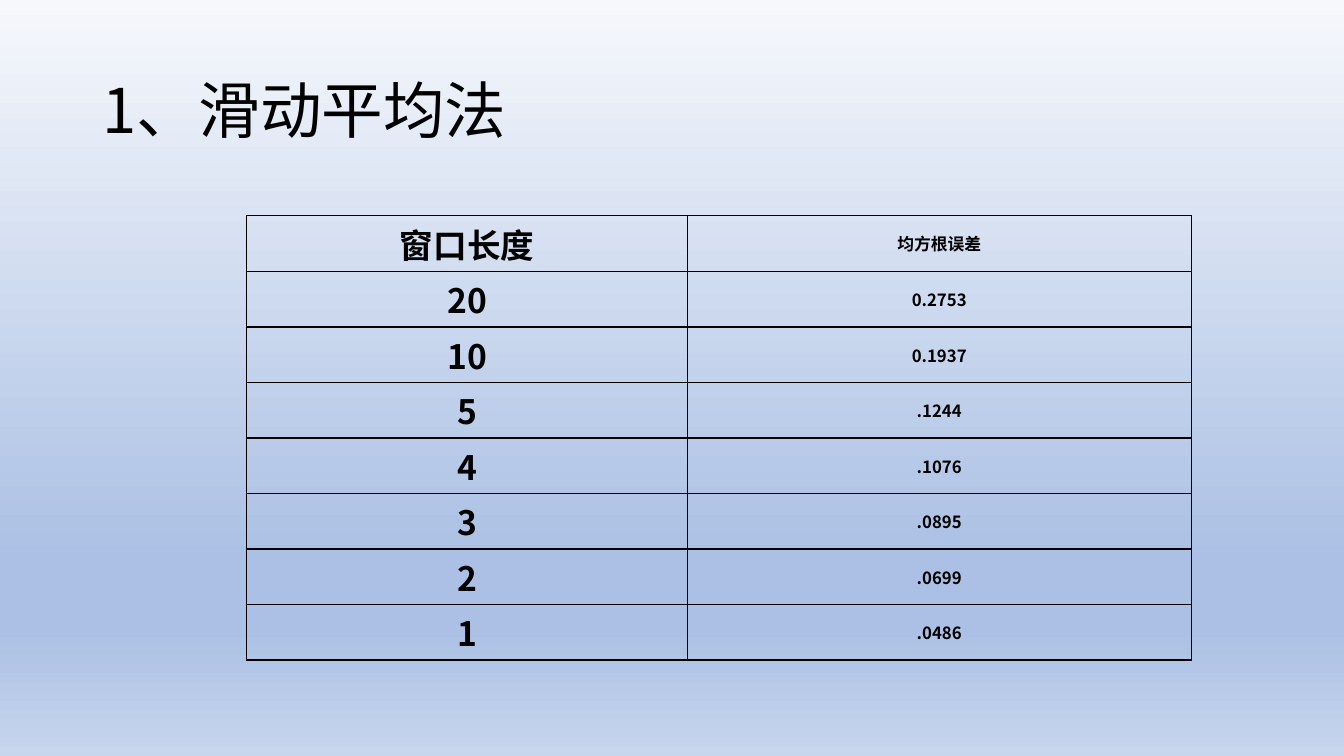
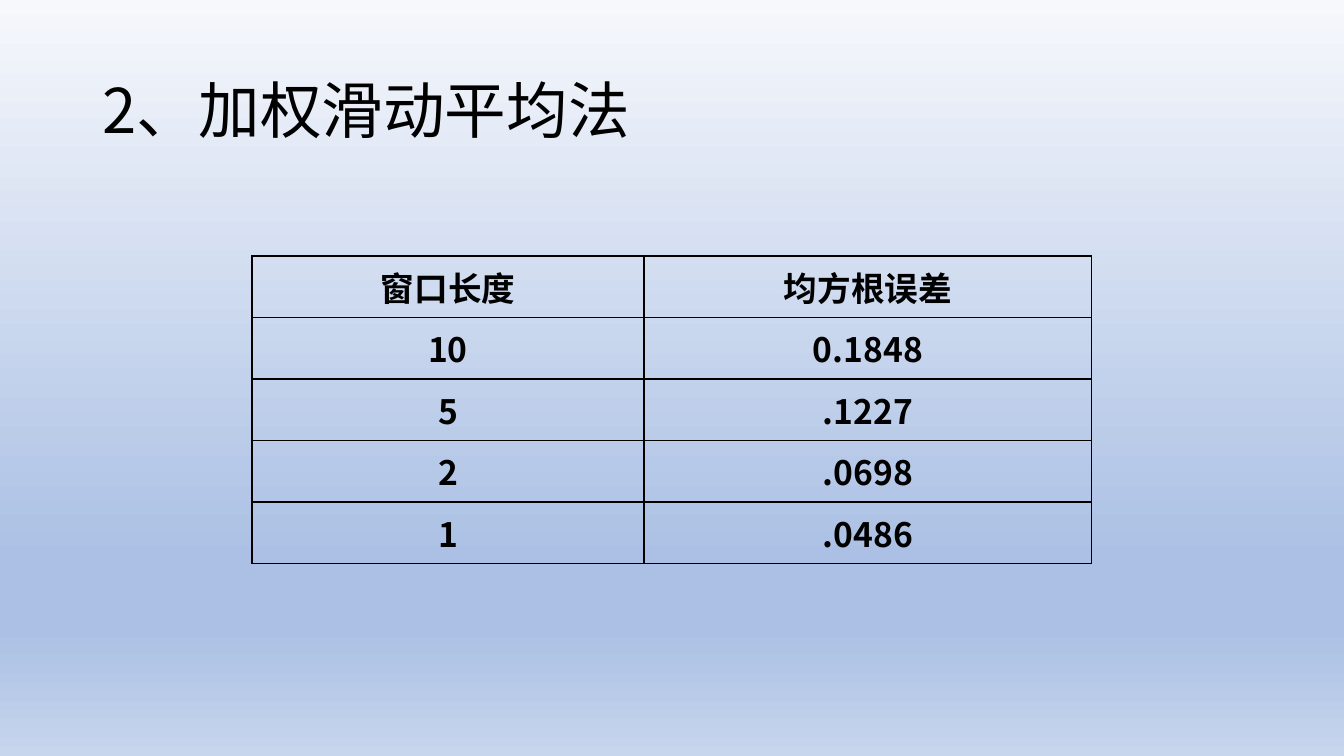
"""Two slides that compare smoothing errors by window length."""
from copy import deepcopy

from lxml import etree
from pptx import Presentation
from pptx.dml.color import RGBColor
from pptx.enum import text
from pptx.oxml import ns
from pptx.util import Cm, Pt

FACE = "Noto Sans CJK SC"
INK = "000000"
STOPS = [(0, "F6F8FC"), (0.74, "ABC0E4"), (0.83, "ABC0E4"), (1, "C7D5ED")]
HEADS = ("窗口长度", "均方根误差")


def tint(code):
    return RGBColor.from_string(code)


def paint(master):
    fill = master.background.fill
    fill.gradient()
    fill.gradient_angle = 270
    group = master.element.find(".//" + ns.qn("a:gsLst"))
    while len(group) < len(STOPS):
        group.append(deepcopy(group[0]))
    for stop, (place, code) in zip(fill.gradient_stops, STOPS):
        stop.position = place
        stop.color.rgb = tint(code)


def write(frame, words, size, bold=False):
    frame.text = words
    para = frame.paragraphs[0]
    font = para.font
    font.size, font.bold, font.name = Pt(size), bold, FACE
    font.color.rgb = tint(INK)
    props = para._p.pPr.find(ns.qn("a:defRPr"))
    etree.SubElement(props, ns.qn("a:ea"), typeface=FACE)
    return para


def title(slide, words):
    box = slide.shapes.add_textbox(Cm(2.34), Cm(1.02), Cm(29.21), Cm(3.68))
    frame = box.text_frame
    frame.word_wrap = True
    frame.vertical_anchor = text.MSO_ANCHOR.MIDDLE
    write(frame, words, 44).line_spacing = 0.9


def border(cell):
    props = cell._tc.get_or_add_tcPr()
    for side in "LRTB":
        line = etree.SubElement(props, ns.qn("a:ln" + side), w=str(Pt(1)))
        solid = etree.SubElement(line, ns.qn("a:solidFill"))
        etree.SubElement(solid, ns.qn("a:srgbClr"), val=INK)


def grid(slide, rows, left, top, widths, height, sizes):
    rows = [HEADS, *rows]
    table = slide.shapes.add_table(
        len(rows), len(widths), Cm(left), Cm(top),
        Cm(sum(widths)), Cm(height * len(rows))).table
    for col, width in zip(table.columns, widths):
        col.width = Cm(width)
    for r, row in enumerate(rows):
        table.rows[r].height = Cm(height)
        for c, words in enumerate(row):
            cell = table.cell(r, c)
            border(cell)
            cell.fill.background()
            cell.margin_left = cell.margin_right = Cm(0.18)
            cell.margin_top = cell.margin_bottom = 0
            cell.vertical_anchor = text.MSO_ANCHOR.MIDDLE
            para = write(cell.text_frame, words, sizes[c], True)
            para.alignment = text.PP_ALIGN.CENTER


def main():
    deck = Presentation()
    deck.slide_width, deck.slide_height = Cm(33.87), Cm(19.05)
    paint(deck.slide_master)
    blank = deck.slide_layouts[6]

    slide = deck.slides.add_slide(blank)
    title(slide, "1、滑动平均法")
    rows = [("20", "0.2753"), ("10", "0.1937"), ("5", ".1244"),
            ("4", ".1076"), ("3", ".0895"), ("2", ".0699"), ("1", ".0486")]
    grid(slide, rows, 6.22, 5.44, (11.1, 12.7), 1.4, (24, 12))

    slide = deck.slides.add_slide(blank)
    title(slide, "2、加权滑动平均法")
    rows = [("10", "0.1848"), ("5", ".1227"), ("2", ".0698"), ("1", ".0486")]
    grid(slide, rows, 6.35, 6.45, (9.88, 11.28), 1.55, (24, 24))

    deck.save("out.pptx")


if __name__ == "__main__":
    main()
